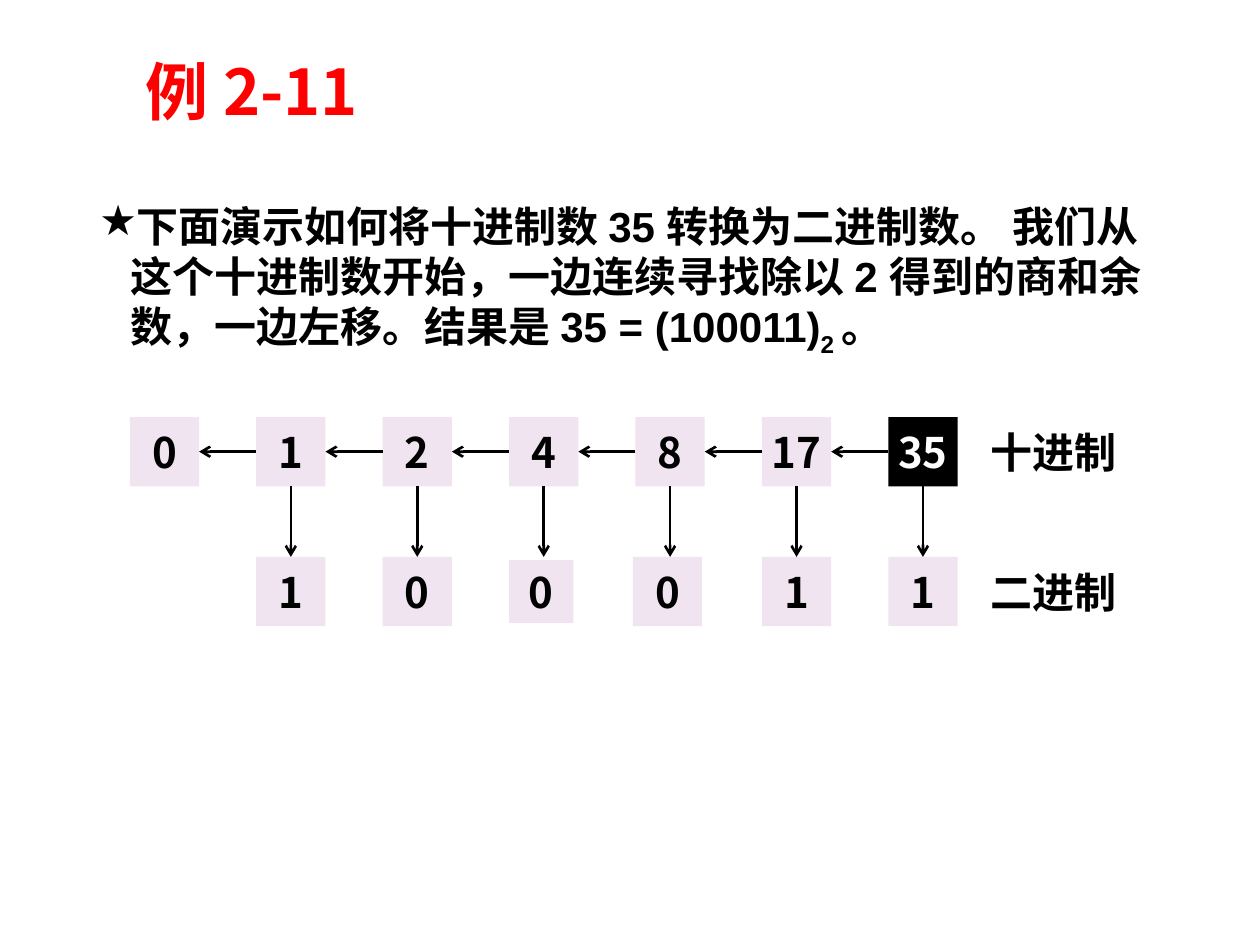
from dataclasses import dataclass

import pptx
import pptx.dml.color
import pptx.enum.shapes
import pptx.enum.text
import pptx.oxml.ns
import pptx.util
from lxml import etree

SLIDE_W, SLIDE_H = 10, 7.5
GRID_LEFT, GRID_TOP = 1.03, 3.31
COL_PITCH, ROW_PITCH = 6.02 / 6, 1.11
BOX = 0.55
LABEL_COL, LABEL_W, LABEL_H = 6.71, 1.21, 0.5

NOTO, ARIAL, CALIBRI = "Noto Sans CJK SC", "Arial", "Calibri"
BLACK, WHITE, RED, LILAC = "000000", "FFFFFF", "FF0000", "EFE4F0"

PP_ALIGN = pptx.enum.text.PP_ALIGN
ANCHOR = pptx.enum.text.MSO_ANCHOR


@dataclass
class DigitBox:
    text: str
    col: int
    row: int
    fill: str = LILAC
    color: str = BLACK
    width: float = BOX
    height: float = BOX
    shift: float = 0


DECIMALS = [DigitBox(text, col, 0) for col, text in enumerate(["0", "1", "2", "4", "8", "17"])]
DECIMALS.append(DigitBox("35", 6, 0, BLACK, WHITE))
BITS = [
    DigitBox("1", 1, 1),
    DigitBox("0", 2, 1),
    DigitBox("0", 3, 1, width=0.51, height=0.5),
    DigitBox("0", 4, 1, shift=-0.02),
    DigitBox("1", 5, 1),
    DigitBox("1", 6, 1),
]


def inches(*values: float) -> list:
    return [pptx.util.Inches(v) for v in values]


def percent(left: float, top: float, width: float, height: float) -> list:
    """Lengths from percentages of the slide's width and height."""
    return inches(left * SLIDE_W / 100, top * SLIDE_H / 100,
                  width * SLIDE_W / 100, height * SLIDE_H / 100)


def grid_x(col: float) -> float:
    return GRID_LEFT + col * COL_PITCH


def grid_y(row: float) -> float:
    return GRID_TOP + row * ROW_PITCH


def rgb(value: str) -> pptx.dml.color.RGBColor:
    return pptx.dml.color.RGBColor.from_string(value)


def add_child(parent, tag: str, **attributes: str):
    child = etree.SubElement(parent, pptx.oxml.ns.qn(tag))
    for name, value in attributes.items():
        child.set(name, value)
    return child


def add_run(p, text: str, size: int, font: str, color: str = BLACK,
            east_asian: str = "", baseline: int = 0):
    r = p.add_run()
    r.text = text
    for name, value in {"size": pptx.util.Pt(size), "name": font, "bold": True}.items():
        setattr(r.font, name, value)
    r.font.color.rgb = rgb(color)
    r_pr = r.font._element
    add_child(r_pr, "a:ea", typeface=east_asian or font)
    r_pr.set("lang", "zh-CN")
    if baseline:
        r_pr.set("baseline", str(baseline * 1000))


def add_text_box(slide, lengths: list, anchor, wrap: bool = True):
    tf = slide.shapes.add_textbox(*lengths).text_frame
    for name, value in {"word_wrap": wrap, "vertical_anchor": anchor}.items():
        setattr(tf, name, value)
    return tf.paragraphs[0]


def add_title(slide):
    p = add_text_box(slide, percent(10.6, 5.73, 78.7, 8.67), ANCHOR.MIDDLE)
    p.line_spacing = 0.9
    add_run(p, "例 2-11", 36, NOTO, RED)


def add_explanation(slide):
    p = add_text_box(slide, percent(6.9, 20.53, 86.2, 69.47), ANCHOR.TOP)
    p.space_after = pptx.util.Pt(12)
    p_pr = p._p.get_or_add_pPr()
    indent = pptx.util.Inches(0.25)
    p_pr.set("marL", str(indent))
    p_pr.set("indent", str(-indent))
    add_child(p_pr, "a:buChar", char="★")
    runs = [
        ("下面演示如何将十进制数 35 转换为二进制数。 我们从这个十进制数开始，"
         "一边连续寻找除以 2 得到的商和余数，一边左移。结果是 35 = (100011)", 0),
        ("2 ", -25),
        ("。", 0),
    ]
    for text, baseline in runs:
        add_run(p, text, 24, ARIAL, east_asian=CALIBRI, baseline=baseline)


def add_digit_box(slide, box: DigitBox):
    top = grid_y(box.row) + (BOX - box.height) / 2
    sp = slide.shapes.add_shape(
        pptx.enum.shapes.MSO_SHAPE.RECTANGLE,
        *inches(grid_x(box.col) + box.shift, top, box.width, box.height))
    sp.shadow.inherit = False
    sp.fill.solid()
    sp.fill.fore_color.rgb = rgb(box.fill)
    sp.line.fill.background()
    tf = sp.text_frame
    for name, value in {"word_wrap": False, "vertical_anchor": ANCHOR.MIDDLE}.items():
        setattr(tf, name, value)
    p = tf.paragraphs[0]
    p.alignment = PP_ALIGN.CENTER
    add_run(p, box.text, 24, NOTO, box.color)


def add_row_label(slide, text: str, row: int):
    top = grid_y(row) + (BOX - LABEL_H) / 2
    lengths = inches(grid_x(LABEL_COL), top, LABEL_W, LABEL_H)
    p = add_text_box(slide, lengths, ANCHOR.TOP, wrap=False)
    add_run(p, text, 24, CALIBRI)


def add_arrow(slide, x1: float, y1: float, x2: float, y2: float):
    line = slide.shapes.add_connector(
        pptx.enum.shapes.MSO_CONNECTOR.STRAIGHT, *inches(x1, y1, x2, y2))
    line.line.color.rgb = rgb(BLACK)
    line.line.width = pptx.util.Pt(1.5)
    add_child(line.line._get_or_add_ln(), "a:tailEnd", type="arrow")
    add_child(line._element.spPr, "a:effectLst")


def main():
    prs = pptx.Presentation()
    prs.slide_width, prs.slide_height = inches(SLIDE_W, SLIDE_H)
    slide = prs.slides.add_slide(prs.slide_layouts[6])

    add_title(slide)
    add_explanation(slide)
    for box in DECIMALS + BITS:
        add_digit_box(slide, box)
    for row, text in enumerate(["十进制", "二进制"]):
        add_row_label(slide, text, row)

    middle = grid_y(0) + BOX / 2
    for col in range(1, len(DECIMALS)):
        add_arrow(slide, grid_x(col), middle, grid_x(col - 1) + BOX, middle)
        center = grid_x(col) + BOX / 2
        add_arrow(slide, center, grid_y(0) + BOX, center, grid_y(1))

    prs.save("out.pptx")


if __name__ == "__main__":
    main()
